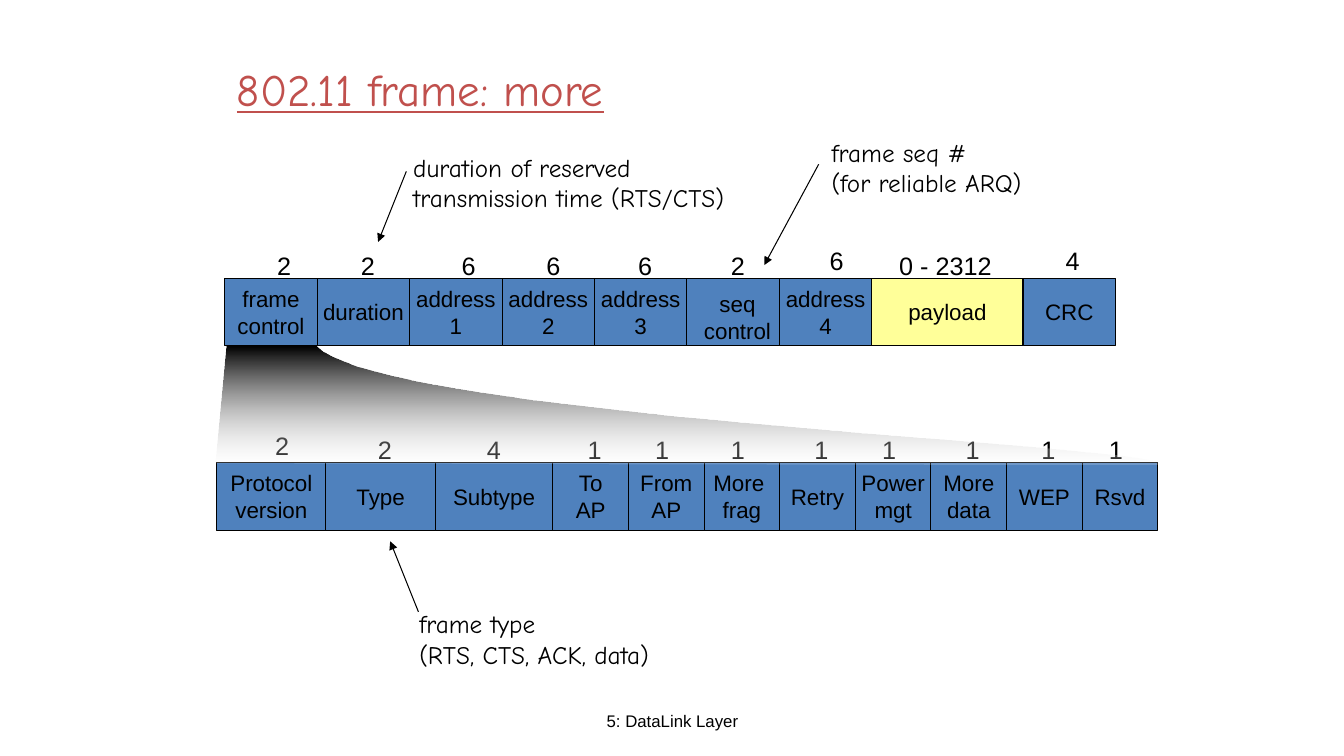
from lxml.etree import SubElement
from pptx import Presentation
from pptx.dml.color import RGBColor
from pptx.enum.shapes import MSO_CONNECTOR as Link, MSO_SHAPE as Form
from pptx.enum.text import MSO_ANCHOR as Anchor, MSO_AUTO_SIZE as Fit, PP_ALIGN as Align
from pptx.oxml.ns import qn
from pptx.util import Inches, Pt

rgb = RGBColor.from_string
deck = Presentation()
deck.slide_width, deck.slide_height = Inches(13.33), Inches(7.5)
slide = deck.slides.add_slide(deck.slide_layouts[5])
shapes = slide.shapes


def write(shape, text, size, font="Arial", align=Align.LEFT, color="000000"):
    frame = shape.text_frame
    frame.text = text
    frame.word_wrap = False
    for para in frame.paragraphs:
        para.alignment = align
        para.font.size = Pt(size)
        para.font.name = font
        para.font.color.rgb = rgb(color)
    return frame


def label(x, y, w, h, text, size, font="Arial", align=Align.LEFT):
    box = shapes.add_textbox(Inches(x), Inches(y), Inches(w), Inches(h))
    frame = write(box, text, size, font, align)
    frame.auto_size = Fit.SHAPE_TO_FIT_TEXT
    return frame


title = shapes.title
title.left, title.top = Inches(2.25), Inches(0.25)
title.width, title.height = Inches(8.5), Inches(1.25)
head = write(title, "802.11 frame: more", 32, "Comic Neue", color="C0504D")
head.word_wrap = True
head.vertical_anchor = Anchor.MIDDLE
head.paragraphs[0].font.underline = True

foot = label(4.56, 6.95, 4.22, 0.4, "5: DataLink Layer", 12, align=Align.CENTER)
foot.word_wrap = True
foot.auto_size = Fit.NONE
foot.vertical_anchor = Anchor.MIDDLE

unit, wide, bit = 11 / 12, 13 / 12, 0.75
frame_row = [
    ("frame\ncontrol", unit, "2", 2.65, 2.43),
    ("duration", unit, "2", 3.48, 2.43),
    ("address\n1", unit, "6", 4.48, 2.43),
    ("address\n2", unit, "6", 5.32, 2.43),
    ("address\n3", unit, "6", 6.23, 2.43),
    ("", unit, "2", 7.15, 2.43),
    ("address\n4", unit, "6", 8.13, 2.38),
    ("payload", 1.5, "0 - 2312", 8.82, 2.43),
    ("CRC", unit, "4", 10.47, 2.38),
]
control_row = [
    ("Protocol\nversion", wide, "2", 2.63, 4.22),
    ("Type", wide, "2", 3.65, 4.26),
    ("Subtype", 7 / 6, "4", 4.73, 4.26),
    ("To\nAP", bit, "1", 5.73, 4.26),
    ("From\nAP", bit, "1", 6.4, 4.26),
    ("More \nfrag", bit, "1", 7.15, 4.26),
    ("Retry", bit, "1", 7.98, 4.26),
    ("Power\nmgt", bit, "1", 8.65, 4.26),
    ("More\ndata", bit, "1", 9.48, 4.26),
    ("WEP", bit, "1", 10.23, 4.26),
    ("Rsvd", bit, "1", 10.9, 4.26),
]
for x, y, row in [(2.23, 2.76, frame_row), (2.15, 4.59, control_row)]:
    for name, width, count, left, top in row:
        cell = shapes.add_shape(Form.RECTANGLE, Inches(x), Inches(y), Inches(width), Inches(0.67))
        cell.shadow.inherit = False
        cell.fill.solid()
        cell.fill.fore_color.rgb = rgb("FFFF99" if name == "payload" else "4F81BD")
        cell.line.color.rgb = rgb("000000")
        cell.line.width = Pt(0.75)
        if name:
            write(cell, name, 16, align=Align.CENTER).vertical_anchor = Anchor.MIDDLE
        label(left, top, 1.12 if len(count) > 1 else 0.34, 0.4, count, 18)
        x += width
label(6.88, 2.83, 0.87, 0.64, "seq\ncontrol", 16, align=Align.CENTER)

curve = [(11.5, 4.61), (11.67, 4.41), (3.83, 4.15), (3.15, 3.44)]
steps = 40
edge = [(2.14, 4.59)]
for step in range(steps + 1):
    t = step / steps
    parts = [(1 - t) ** 3, 3 * t * (1 - t) ** 2, 3 * t * t * (1 - t), t ** 3]
    edge.append([sum(p * point[axis] for p, point in zip(parts, curve)) for axis in (0, 1)])
pen = shapes.build_freeform(Inches(2.25), Inches(3.44))
pen.add_line_segments([(Inches(x), Inches(y)) for x, y in edge])
wedge = pen.convert_to_shape()
wedge.shadow.inherit = False
wedge.line.fill.background()
wedge.fill.gradient()
wedge.fill.gradient_angle = 270
for stop, color in zip(wedge.fill.gradient_stops, ["000000", "FFFFFF"]):
    stop.color.rgb = rgb(color)
fade = wedge.element.xpath(".//a:gs/a:srgbClr")[-1]
SubElement(fade, qn("a:alpha"), val="18000")

notes = [
    (4, 1.46, 3.63, "duration of reserved\ntransmission time (RTS/CTS)", (4.03, 1.7, 3.75, 2.4)),
    (8.15, 1.31, 2.35, "frame seq #\n(for reliable ARQ)", (8.12, 1.63, 7.58, 2.63)),
    (4.06, 5.99, 2.82, "frame type\n(RTS, CTS, ACK, data)", (4.15, 6.07, 3.87, 5.37)),
]
for x, y, width, text, ends in notes:
    label(x, y, width, 0.7, text, 18, "Comic Neue")
    arrow = shapes.add_connector(Link.STRAIGHT, *[Inches(v) for v in ends])
    arrow.line.color.rgb = rgb("000000")
    arrow.line.width = Pt(0.75)
    SubElement(arrow.line._get_or_add_ln(), qn("a:tailEnd"), type="triangle")
    SubElement(arrow.element.spPr, qn("a:effectLst"))

deck.save("out.pptx")
